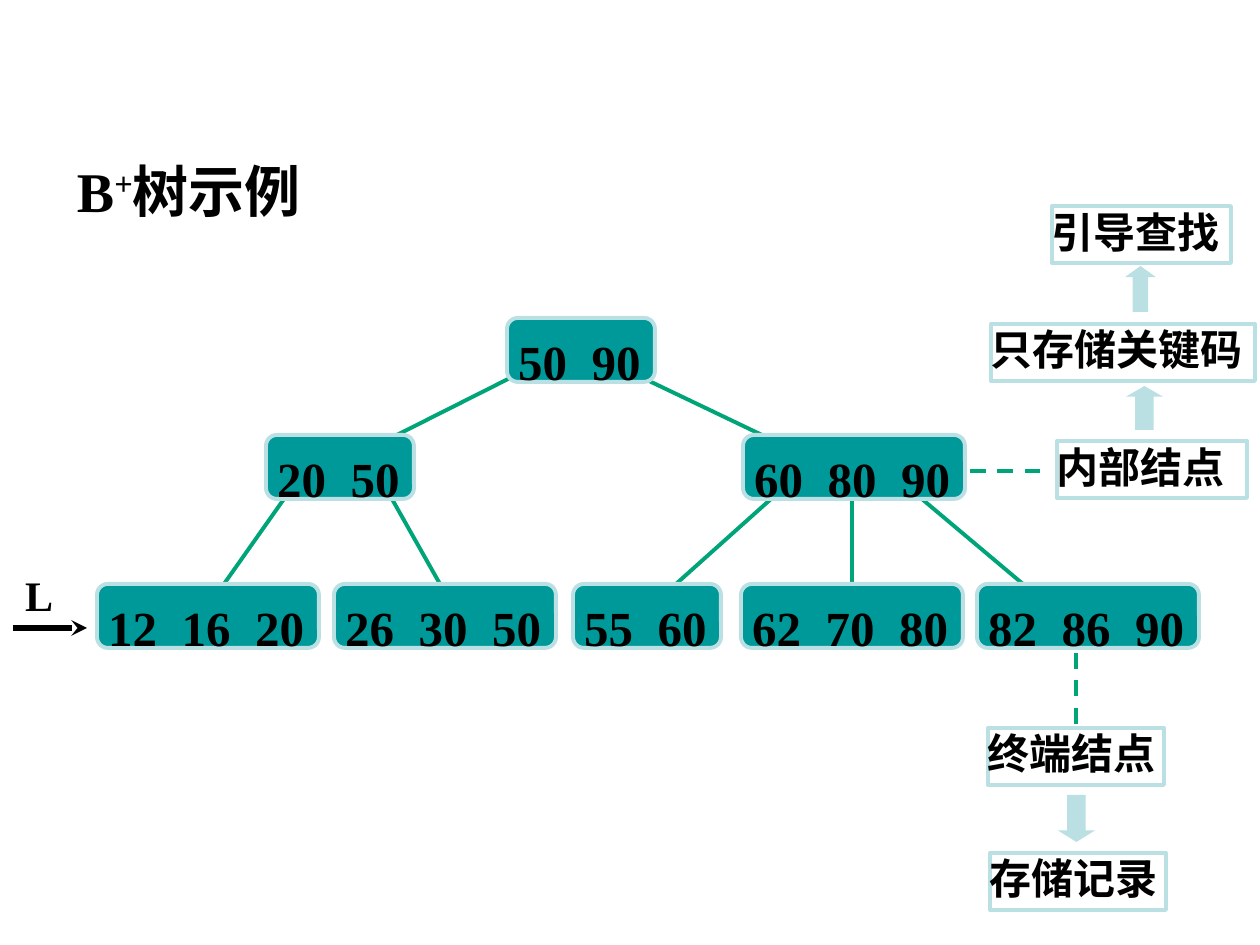
from lxml import etree
from pptx import Presentation
from pptx.dml.color import RGBColor
from pptx.enum.dml import MSO_LINE
from pptx.enum.shapes import MSO_CONNECTOR, MSO_SHAPE
from pptx.enum.text import MSO_ANCHOR, PP_ALIGN
from pptx.oxml.ns import qn
from pptx.util import Pt

PX = 914400 // 126
STRAIGHT = MSO_CONNECTOR.STRAIGHT
DASH = MSO_LINE.DASH
RECT, ROUNDED = MSO_SHAPE.RECTANGLE, MSO_SHAPE.ROUNDED_RECTANGLE
UP, DOWN = MSO_SHAPE.UP_ARROW, MSO_SHAPE.DOWN_ARROW
TOP, LEFT = MSO_ANCHOR.TOP, PP_ALIGN.LEFT
TOP_SIDE = 0

GREEN, TEAL, PALE, BLACK = "00A479", "009999", "BBE0E3", "000000"
FONT = "Times New Roman"

TITLE = [("B", 0), ("+", 30000), ("树示例", 0)]
KEY_WIDTH, NODE_HEIGHT, KEY_STEP_PT = 74, 64, 42

# Tree levels: top, then (left, keys) of each node
LEVELS = [
    (318, [(507, [50, 90])]),
    (435, [(266, [20, 50]), (743, [60, 80, 90])]),
    (584, [(97, [12, 16, 20]), (334, [26, 30, 50]), (573, [55, 60]),
           (741, [62, 70, 80]), (977, [82, 86, 90])]),
]
# Branches: x1, y1, x2, y2
BRANCHES = [
    (520, 373, 397, 435), (645, 379, 762, 435),
    (284, 499, 224, 584), (392, 499, 440, 584),
    (771, 499, 676, 584), (922, 499, 1023, 584),
]
MIDDLE_BRANCH = (852, 495, 852, 584)
LIST_POINTER = (13, 628, 87, 628)
INTERNAL_LINK = (970, 471, 1051, 471)
TERMINAL_LINK = (1076, 653, 1076, 728)

# Notes: text, left, top, width
NOTE_HEIGHT = 57
NOTES = [
    ("引导查找", 1052, 206, 179),
    ("只存储关键码", 991, 324, 264),
    ("内部结点", 1057, 441, 190),
    ("终端结点", 988, 728, 176),
    ("存储记录", 990, 853, 176),
]
# Block arrows: kind, left, top, width, height, head ratio
BLOCK_ARROWS = [
    (UP, 1125, 266, 31, 46, 0.36),
    (UP, 1126, 386, 37, 44, 0.29),
    (DOWN, 1058, 795, 37, 47, 0.31),
]


def px(*lengths):
    return [length * PX for length in lengths]


def color(hex_text):
    return RGBColor.from_string(hex_text)


def write(shape, runs, size, insets):
    """Fill a shape with (text, baseline shift) runs; insets are left, top, right, bottom."""
    frame = shape.text_frame
    left, top, right, bottom = px(*insets)
    layout = {"word_wrap": True, "vertical_anchor": TOP, "margin_left": left,
              "margin_top": top, "margin_right": right, "margin_bottom": bottom}
    for name, value in layout.items():
        setattr(frame, name, value)
    paragraph = frame.paragraphs[0]
    paragraph.alignment = LEFT
    for text, baseline in runs:
        run = paragraph.add_run()
        run.text = text
        for name, value in {"name": FONT, "size": Pt(size), "bold": True}.items():
            setattr(run.font, name, value)
        run.font.color.rgb = color(BLACK)
        if baseline:
            run.font._element.set("baseline", str(baseline))
    return paragraph


def add_line(shapes, ends, line_color=GREEN, width=2.25, dash=None):
    connector = shapes.add_connector(STRAIGHT, *px(*ends))
    connector.line.color.rgb = color(line_color)
    connector.line.width = Pt(width)
    if dash:
        connector.line.dash_style = dash
    etree.SubElement(connector._element.spPr, qn("a:effectLst"))
    return connector


def add_block(shapes, kind, box, fill=None, line=None):
    shape = shapes.add_shape(kind, *px(*box))
    shape.shadow.inherit = False
    if fill:
        shape.fill.solid()
        shape.fill.fore_color.rgb = color(fill)
    else:
        shape.fill.background()
    if line:
        shape.line.color.rgb = color(line)
        shape.line.width = Pt(2.25)
    else:
        shape.line.fill.background()
    return shape


def add_node(shapes, left, top, keys):
    box = (left, top, KEY_WIDTH * len(keys), NODE_HEIGHT)
    node = add_block(shapes, ROUNDED, box, TEAL, PALE)
    node.adjustments[0] = 0.17
    text = "\t".join(str(key) for key in keys)
    paragraph = write(node, [(text, 0)], 28, (8, 10, 2, 1))
    stops = etree.SubElement(paragraph._p.get_or_add_pPr(), qn("a:tabLst"))
    for index in range(1, len(keys)):
        etree.SubElement(stops, qn("a:tab"), pos=str(Pt(KEY_STEP_PT * index)), algn="l")
    return node


def add_note(shapes, text, left, top, width):
    note = add_block(shapes, RECT, (left, top, width, NOTE_HEIGHT), line=PALE)
    write(note, [(text, 0)], 24, (0, 0, 0, 0))
    return note


def main():
    deck = Presentation()
    deck.slide_width, deck.slide_height = px(1260, 945)
    shapes = deck.slides.add_slide(deck.slide_layouts[6]).shapes

    for ends in BRANCHES:
        add_line(shapes, ends)
    middle_branch = add_line(shapes, MIDDLE_BRANCH)
    pointer = add_line(shapes, LIST_POINTER, BLACK, 3)
    etree.SubElement(pointer.line._get_or_add_ln(), qn("a:tailEnd"), type="stealth")

    write(shapes.add_textbox(*px(25, 566, 32, 53)), [("L", 0)], 24, (0, 4, 0, 0))
    write(shapes.add_textbox(*px(65, 150, 441, 81)), TITLE, 32, (12, 6, 12, 6))

    nodes = {}
    for top, level in LEVELS:
        for left, keys in level:
            nodes[tuple(keys)] = add_node(shapes, left, top, keys)
    middle_branch.end_connect(nodes[62, 70, 80], TOP_SIDE)

    notes = {note[0]: add_note(shapes, *note) for note in NOTES}
    add_line(shapes, INTERNAL_LINK, dash=DASH)
    terminal_link = add_line(shapes, TERMINAL_LINK, dash=DASH)
    terminal_link.end_connect(notes["终端结点"], TOP_SIDE)

    for kind, *box, head in BLOCK_ARROWS:
        arrow = add_block(shapes, kind, box, PALE)
        arrow.adjustments[1] = head

    deck.save("out.pptx")


if __name__ == "__main__":
    main()
